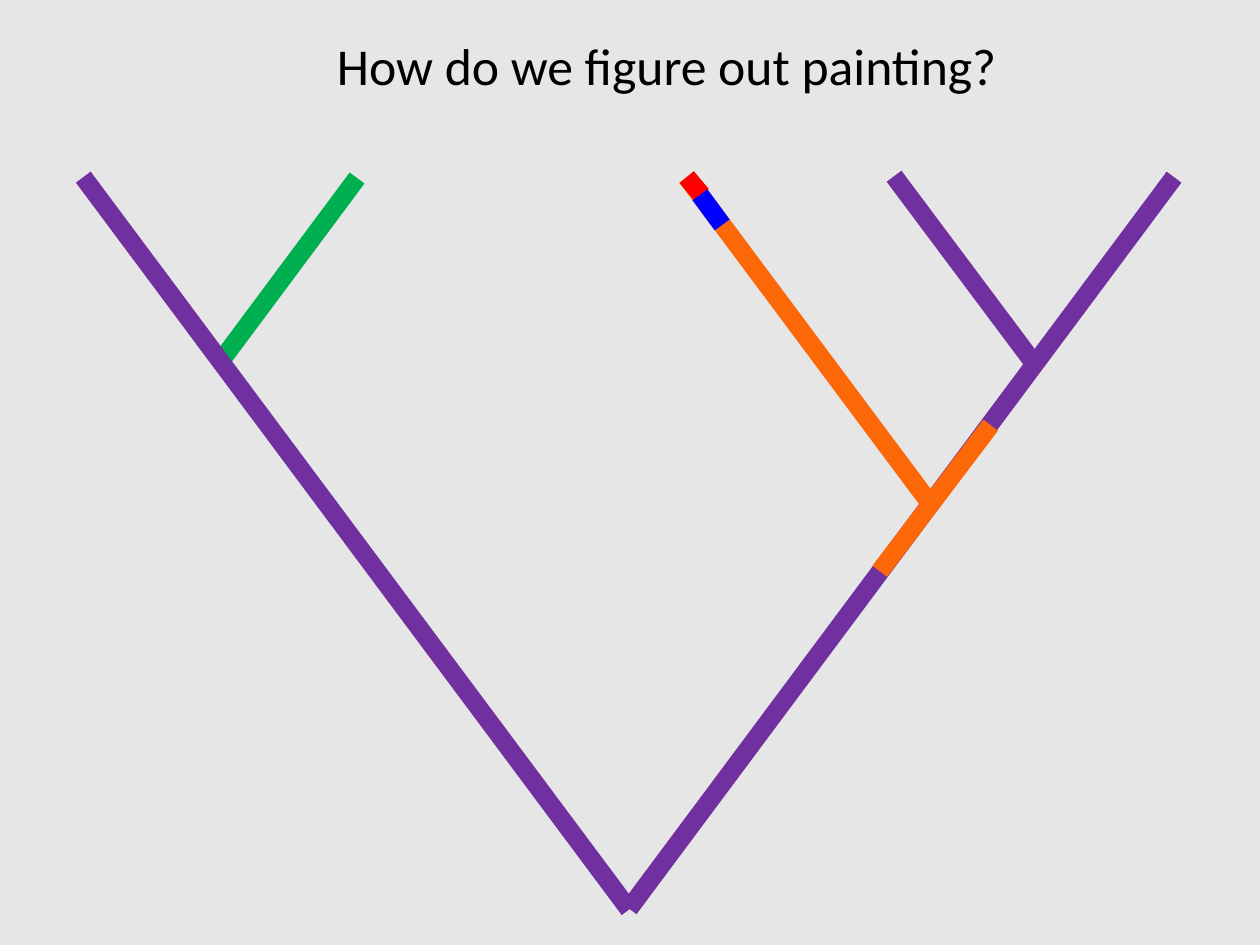
from lxml import etree
from pptx import Presentation
from pptx import util as u
from pptx.dml.color import RGBColor
from pptx.enum import shapes, text
from pptx.oxml.ns import qn

GRAY = RGBColor(0xE6, 0xE6, 0xE6)
BLACK = RGBColor(0, 0, 0)
PURPLE = RGBColor(0x70, 0x30, 0xA0)
GREEN = RGBColor(0x00, 0xB0, 0x50)
ORANGE = RGBColor(0xFC, 0x67, 0x08)
RED = RGBColor(0xFF, 0, 0)
BLUE = RGBColor(0, 0, 0xFF)

# Tree branches from back to front: start, end, colour
BRANCHES = [
    ((7.1, 10.26), (13.25, 2), PURPLE),
    ((2.49, 4.08), (4.03, 2.01), GREEN),
    ((11.66, 4.09), (10.09, 1.99), PURPLE),
    ((10.53, 5.73), (7.75, 2), ORANGE),
    ((7.92, 2.2), (7.75, 2), RED),
    ((8.15, 2.54), (7.9, 2.2), BLUE),
    ((9.93, 6.45), (11.18, 4.8), ORANGE),
    ((0.94, 2), (7.1, 10.27), PURPLE),
]


class Painter:
    font = "Calibri"
    size = u.Pt(42)
    width = u.Pt(15)

    def __init__(self, slide):
        self.slide = slide

    def ground(self, color):
        """Fill the slide background."""
        fill = self.slide.background.fill
        fill.solid()
        fill.fore_color.rgb = color

    def branch(self, start, end, color):
        ends = [u.Inches(v) for v in start + end]
        line = self.slide.shapes.add_connector(shapes.MSO_CONNECTOR.STRAIGHT, *ends)
        line.line.color.rgb = color
        line.line.width = self.width
        etree.SubElement(line._element.spPr, qn("a:effectLst"))

    def title(self, words, *place):
        box = self.slide.shapes.add_textbox(*[u.Inches(v) for v in place])
        frame = box.text_frame
        frame.word_wrap = True
        frame.auto_size = text.MSO_AUTO_SIZE.SHAPE_TO_FIT_TEXT
        para = frame.paragraphs[0]
        para.text = words
        para.alignment = text.PP_ALIGN.CENTER
        para.font.name = self.font
        para.font.size = self.size
        para.font.color.rgb = BLACK


def main():
    deck = Presentation()
    deck.slide_width = u.Inches(14.22)
    deck.slide_height = u.Inches(10.67)
    painter = Painter(deck.slides.add_slide(deck.slide_layouts[6]))
    painter.ground(GRAY)
    for start, end, color in BRANCHES:
        painter.branch(start, end, color)
    painter.title("How do we figure out painting?", 1.36, 0.33, 12.33, 0.81)
    deck.save("out.pptx")


if __name__ == "__main__":
    main()
